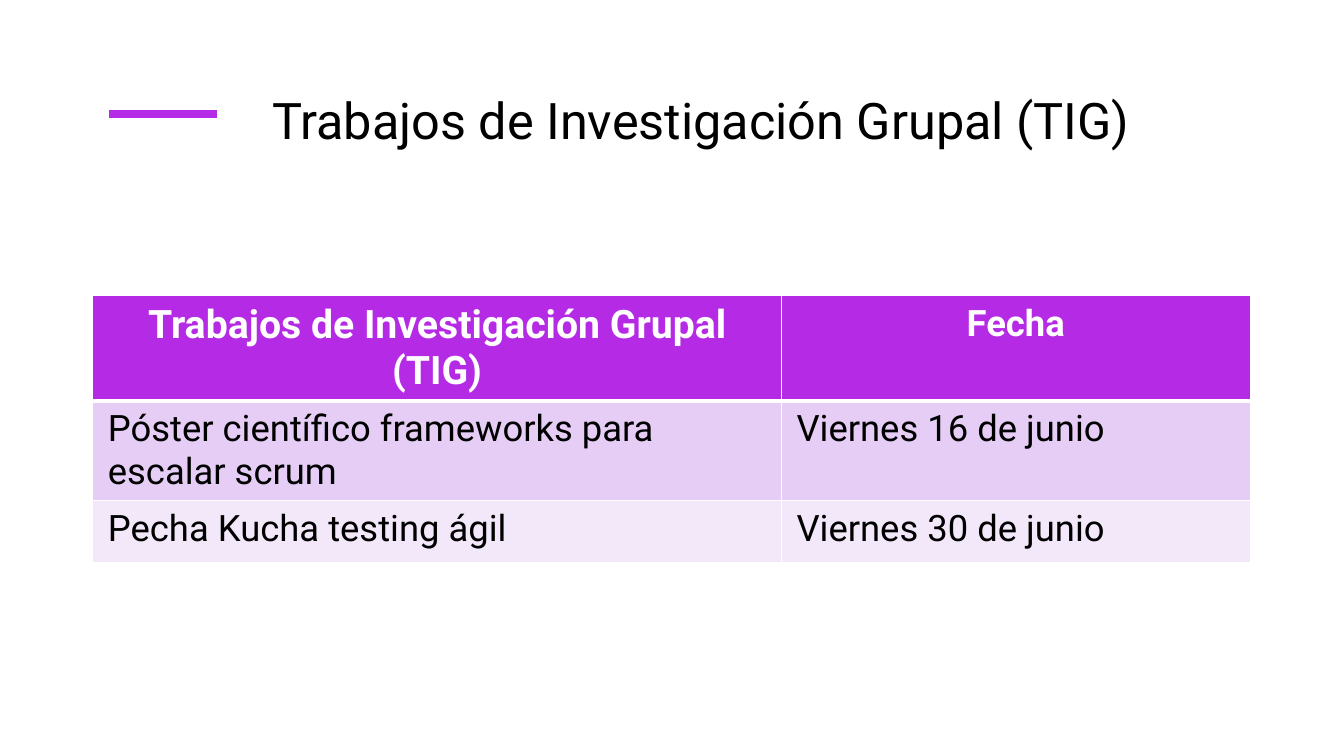
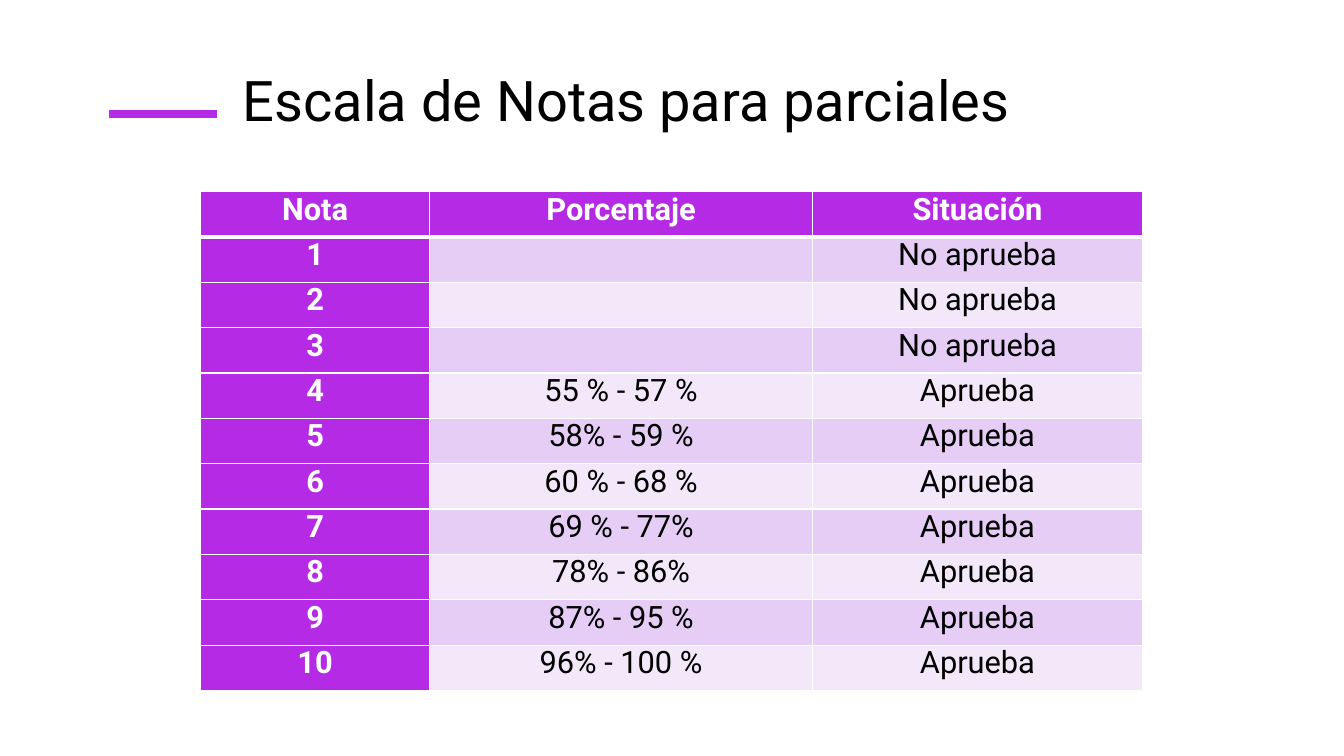
import dataclasses

import lxml.etree
import pptx
import pptx.dml.color
import pptx.enum.shapes
import pptx.enum.text
import pptx.oxml.ns
import pptx.util

PX = 9144  # EMU per px, 100 px to the inch
ANCHOR = pptx.enum.text.MSO_ANCHOR
ALIGN = pptx.enum.text.PP_ALIGN


@dataclasses.dataclass(frozen=True)
class Theme:
    font: str = "Roboto"
    accent: str = "B52BE5"
    text: str = "000000"
    white: str = "FFFFFF"
    bands: tuple = ("E5CDF5", "F3E8FA")
    title_size: int = 36
    large_title_size: int = 40
    main_heading_size: int = 28
    cell_size: int = 26
    compact_size: int = 22
    accent_width: int = 6
    border_width: int = 1
    header_border_width: int = 3


THEME = Theme()


def px(length):
    return pptx.util.Emu(length * PX)


def rgb(color):
    return pptx.dml.color.RGBColor.from_string(color)


class Deck:
    def __init__(self, theme):
        self.theme = theme
        self.presentation = pptx.Presentation()
        self.presentation.slide_width = px(1333)
        self.presentation.slide_height = px(750)
        self.slide = None

    # Shared slide frame: title and accent line
    def add_slide(self, title, box, size, anchor):
        layout = self.presentation.slide_layouts.get_by_name("Title Only")
        self.slide = self.presentation.slides.add_slide(layout)
        self.add_accent()
        heading = self.slide.shapes.title
        heading.left, heading.top, heading.width, heading.height = map(px, box)
        frame = heading.text_frame
        frame.text = title
        frame.auto_size = pptx.enum.text.MSO_AUTO_SIZE.NONE
        frame.vertical_anchor = anchor
        self.format_text(frame, size, self.theme.text, ALIGN.LEFT)

    def add_accent(self):
        straight = pptx.enum.shapes.MSO_CONNECTOR.STRAIGHT
        accent = self.slide.shapes.add_connector(
            straight, px(108), px(113), px(215), px(113))
        accent.line.color.rgb = rgb(self.theme.accent)
        accent.line.width = pptx.util.Pt(self.theme.accent_width)
        properties = accent.element.spPr
        lxml.etree.SubElement(properties, pptx.oxml.ns.qn("a:effectLst"))

    def format_text(self, frame, size, color, align, bold=False):
        for paragraph in frame.paragraphs:
            paragraph.alignment = align
            for run in paragraph.runs:
                run.font.name = self.theme.font
                run.font.size = pptx.util.Pt(size)
                run.font.bold = bold
                run.font.color.rgb = rgb(color)

    # Tables with an accent header and banded rows
    def add_table(self, rows, left, top, widths, heights, insets, size,
                  header_sizes=None, body_align=ALIGN.CENTER, row_heads=False):
        theme = self.theme
        table = self.slide.shapes.add_table(
            len(rows), len(widths), px(left), px(top),
            px(sum(widths)), px(sum(heights))).table
        table.first_col = row_heads
        for column, width in zip(table.columns, widths):
            column.width = px(width)
        for row, height in zip(table.rows, heights):
            row.height = px(height)
        for r, texts in enumerate(rows):
            for c, text in enumerate(texts):
                cell = table.cell(r, c)
                is_header = r == 0
                is_head = is_header or (row_heads and c == 0)
                cell.margin_left = cell.margin_right = px(insets[0])
                cell.margin_top = cell.margin_bottom = px(insets[1])
                self.add_borders(cell, r)
                cell.fill.solid()
                cell.fill.fore_color.rgb = rgb(
                    theme.accent if is_head else theme.bands[(r - 1) % 2])
                cell.text_frame.text = text
                self.format_text(
                    cell.text_frame,
                    header_sizes[c] if is_header and header_sizes else size,
                    theme.white if is_head else theme.text,
                    ALIGN.CENTER if is_header else body_align,
                    is_head)

    def add_borders(self, cell, row):
        qn = pptx.oxml.ns.qn
        properties = cell._tc.get_or_add_tcPr()
        for side in ("L", "R", "T", "B"):
            under_header = (row, side) in ((0, "B"), (1, "T"))
            width = (self.theme.header_border_width if under_header
                     else self.theme.border_width)
            border = lxml.etree.SubElement(
                properties, qn(f"a:ln{side}"), w=str(pptx.util.Pt(width)))
            fill = lxml.etree.SubElement(border, qn("a:solidFill"))
            lxml.etree.SubElement(fill, qn("a:srgbClr"), val=self.theme.white)


def main():
    deck = Deck(THEME)

    # Group research assignments
    assignments = [
        ("Trabajos de Investigación Grupal (TIG)", "Fecha"),
        ("Póster científico frameworks para escalar scrum", "Viernes 16 de junio"),
        ("Pecha Kucha testing ágil", "Viernes 30 de junio"),
    ]
    deck.add_slide("Trabajos de Investigación Grupal (TIG)",
                   (260, 42, 907, 111), THEME.title_size, ANCHOR.BOTTOM)
    deck.add_table(assignments, 92, 293, (683, 465), (104, 98, 62), (15, 7),
                   THEME.cell_size, (THEME.main_heading_size, THEME.cell_size),
                   ALIGN.LEFT)

    # Grade scale: the first three grades fail
    percentages = ["", "", "", "55 % - 57 %", "58% - 59 %", "60 % - 68 %",
                   "69 % - 77%", "78% - 86%", "87% - 95 %", "96% - 100 %"]
    grades = [("Nota", "Porcentaje", "Situación")]
    for grade, percentage in enumerate(percentages, start=1):
        grades.append((str(grade), percentage,
                       "Aprueba" if grade >= 4 else "No aprueba"))
    deck.add_slide("Escala de Notas para parciales",
                   (231, 39, 1149, 118), THEME.large_title_size, ANCHOR.MIDDLE)
    deck.add_table(grades, 199, 190, (227, 380, 327), [45] * len(grades),
                   (16, 0), THEME.compact_size, row_heads=True)

    deck.presentation.save("out.pptx")


if __name__ == "__main__":
    main()
